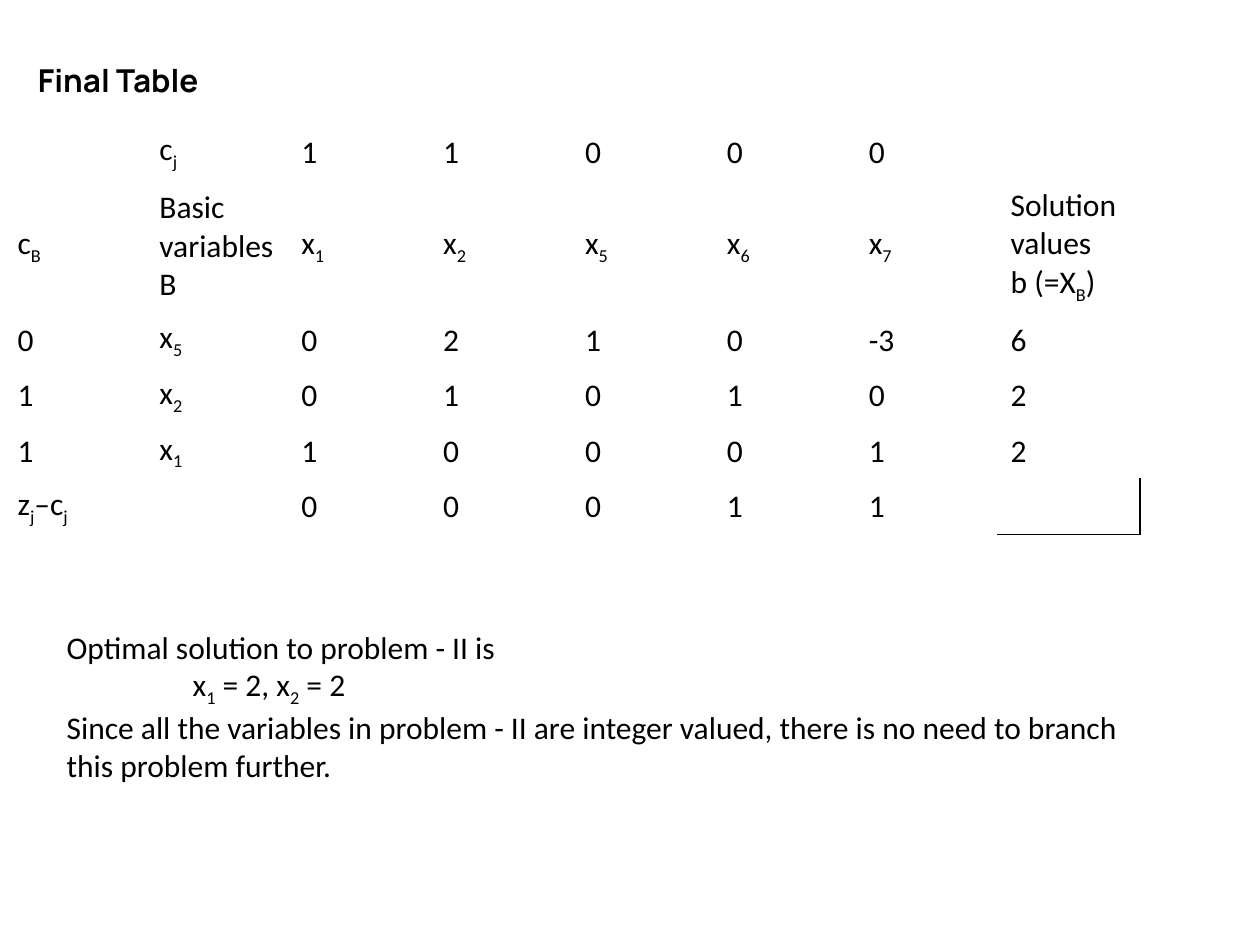
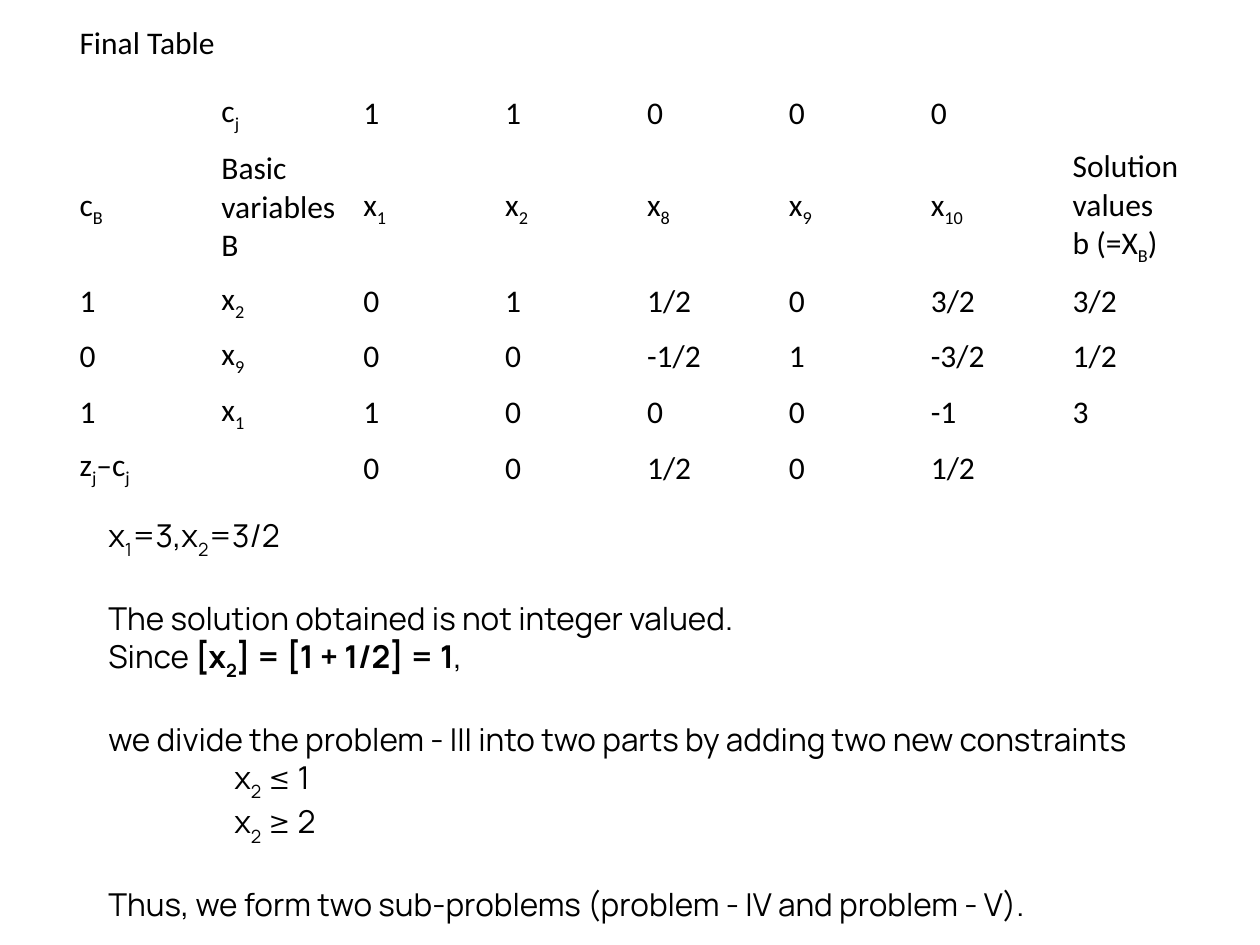
from dataclasses import dataclass

from lxml import etree
from pptx import Presentation
from pptx.dml.color import RGBColor
from pptx.enum.text import MSO_ANCHOR, MSO_AUTO_SIZE, PP_ALIGN
from pptx.oxml.ns import qn
from pptx.util import Cm, Pt

MIDDLE, TOP = MSO_ANCHOR.MIDDLE, MSO_ANCHOR.TOP
LEFT, JUSTIFY = PP_ALIGN.LEFT, PP_ALIGN.JUSTIFY
FIXED = MSO_AUTO_SIZE.NONE

TITLE_AND_CONTENT = 1
SUBSCRIPT_MARK, BOLD_MARK = "~", "*"


@dataclass(frozen=True)
class Theme:
    ink: str = "000000"
    text: Pt = Pt(18)
    blank_line: Pt = Pt(22)
    rule: Pt = Pt(0.75)
    plain_font: str = "Calibri"
    accent_font: str = "Manrope"
    column: Cm = Cm(2.86)
    row: Cm = Cm(1.12)
    heading_row: Cm = Cm(2.67)
    indent: Cm = Cm(2.54)


@dataclass(frozen=True)
class Line:
    text: str
    indented: bool = False
    spaced: bool = False


class Deck:
    def __init__(self, theme):
        self.theme = theme
        self.presentation = Presentation()
        self.presentation.slide_width = Cm(25.4)
        self.presentation.slide_height = Cm(19.05)
        self.slide = None

    def new_slide(self):
        layout = self.presentation.slide_layouts[TITLE_AND_CONTENT]
        self.slide = self.presentation.slides.add_slide(layout)

    def add_runs(self, paragraph, text, font, subscript=-25):
        for b, stretch in enumerate(text.split(BOLD_MARK)):
            for s, piece in enumerate(stretch.split(SUBSCRIPT_MARK)):
                if not piece:
                    continue
                run = paragraph.add_run()
                run.text = piece
                run.font.name = font
                run.font.size = self.theme.text
                run.font.bold = b % 2 == 1
                run.font.color.rgb = RGBColor.from_string(self.theme.ink)
                if s % 2:
                    run.font._element.set("baseline", f"{subscript * 1000}")

    def place(self, holder, box, anchor):
        holder.left, holder.top, holder.width, holder.height = map(Cm, box)
        frame = holder.text_frame
        frame.word_wrap = True
        frame.auto_size = FIXED
        frame.vertical_anchor = anchor
        return frame

    def title(self, text, box, font):
        paragraph = self.place(self.slide.shapes.title, box, MIDDLE).paragraphs[0]
        paragraph.alignment = LEFT
        self.add_runs(paragraph, text, font)

    def body(self, lines, box, font, align=LEFT, subscript=-25, inset=0.13):
        frame = self.place(self.slide.placeholders[1], box, TOP)
        frame.margin_top = Cm(inset)
        for i, line in enumerate(lines):
            paragraph = frame.add_paragraph() if i else frame.paragraphs[0]
            properties = paragraph._p.get_or_add_pPr()
            properties.set("marL", str(int(self.theme.indent) if line.indented else 0))
            properties.set("indent", "0")
            etree.SubElement(properties, qn("a:buNone"))
            paragraph.alignment = align
            paragraph.space_before = self.theme.blank_line if line.spaced else Pt(0)
            self.add_runs(paragraph, line.text, font, subscript)

    def simplex_table(self, variables, basis_rows, differences, left, top):
        rows = [
            ["", "c~j~", "1", "1", "0", "0", "0", ""],
            ["c~B~", "Basic variables\nB", *variables, "Solution values\nb (=X~B~)"],
            *basis_rows,
            ["z~j~–c~j~", "", *differences, ""],
        ]
        heights = [self.theme.row] * len(rows)
        heights[1] = self.theme.heading_row
        columns = len(rows[0])
        table = self.slide.shapes.add_table(
            len(rows), columns, Cm(left), Cm(top),
            self.theme.column * columns, sum(heights)).table
        table.first_row = table.horz_banding = False
        for column in table.columns:
            column.width = self.theme.column
        for r, entries in enumerate(rows):
            table.rows[r].height = heights[r]
            for c, entry in enumerate(entries):
                cell = table.cell(r, c)
                cell.fill.background()
                cell.vertical_anchor = MIDDLE
                frame = cell.text_frame
                for i, text in enumerate(entry.split("\n")):
                    paragraph = frame.add_paragraph() if i else frame.paragraphs[0]
                    self.add_runs(paragraph, text, self.theme.plain_font)
        return table

    def rule_cell(self, cell, sides):
        properties = cell._tc.get_or_add_tcPr()
        for i, side in enumerate(sides):
            border = etree.Element(qn(f"a:{side}"), w=str(int(self.theme.rule)))
            fill = etree.SubElement(border, qn("a:solidFill"))
            etree.SubElement(fill, qn("a:srgbClr"), val=self.theme.ink)
            properties.insert(i, border)


def integer_solution(deck):
    theme = deck.theme
    deck.new_slide()
    deck.title("*Final Table*", (0.51, 0.33, 10.59, 2.57), theme.accent_font)
    final = deck.simplex_table(
        ["x~1~", "x~2~", "x~5~", "x~6~", "x~7~"],
        [
            ["0", "x~5~", "0", "2", "1", "0", "-3", "6"],
            ["1", "x~2~", "0", "1", "0", "1", "0", "2"],
            ["1", "x~1~", "1", "0", "0", "0", "1", "2"],
        ],
        ["0", "0", "0", "1", "1"], 0.1, 2.51)
    deck.rule_cell(final.cell(5, 7), ["lnR", "lnB"])
    deck.body([
        Line("Optimal solution to problem - II is"),
        Line("x~1~ = 2, x~2~ = 2", indented=True),
        Line("Since all the variables in problem - II are integer valued, "
             "there is no need to branch this problem further."),
    ], (1.09, 12.52, 22, 3.33), theme.plain_font)


def fractional_solution(deck):
    theme = deck.theme
    deck.new_slide()
    deck.title("Final Table", (1.35, 0.33, 7.57, 1.02), theme.plain_font)
    deck.simplex_table(
        ["x~1~", "x~2~", "x~8~", "x~9~", "x~10~"],
        [
            ["1", "x~2~", "0", "1", "1/2", "0", "3/2", "3/2"],
            ["0", "x~9~", "0", "0", "-1/2", "1", "-3/2", "1/2"],
            ["1", "x~1~", "1", "0", "0", "0", "-1", "3"],
        ],
        ["0", "0", "1/2", "0", "1/2"], 1.35, 1.73)
    deck.body([
        Line("x~1~=3,x~2~=3/2"),
        Line("The solution obtained is not integer valued.", spaced=True),
        Line("Since *[x~2~] = [1 + 1/2] = 1*,"),
        Line("we divide the problem - III into two parts by adding two new constraints",
             spaced=True),
        Line("x~2~ ≤ 1", indented=True),
        Line("x~2~ ≥ 2", indented=True),
        Line("Thus, we form two sub-problems (problem - IV and problem - V).",
             spaced=True),
    ], (1.93, 9.73, 22.2, 8.71), theme.accent_font, JUSTIFY, -30, 0.67)


def main():
    deck = Deck(Theme())
    integer_solution(deck)
    fractional_solution(deck)
    deck.presentation.save("out.pptx")


if __name__ == "__main__":
    main()
